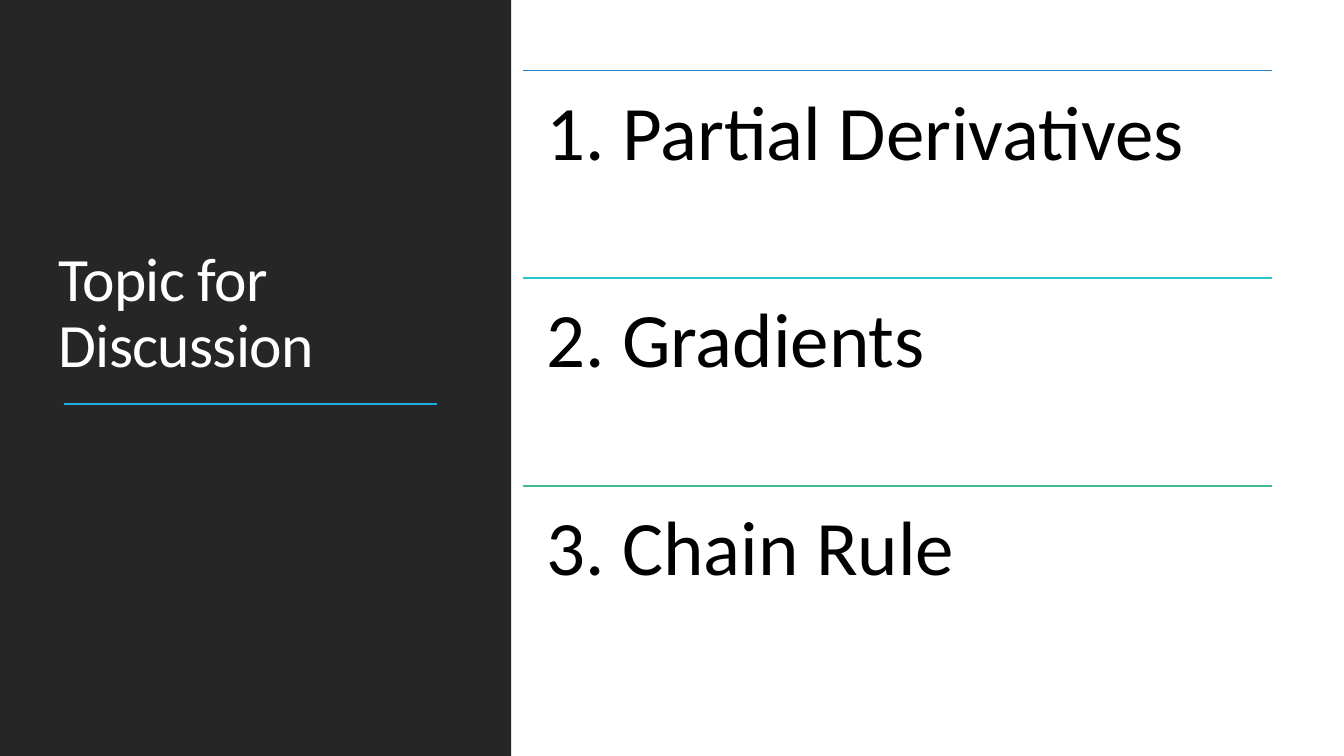
"""Build the topic slide with a dark title panel and three ruled topics."""
from lxml.etree import SubElement
from pptx import Presentation
from pptx.dml.color import RGBColor
from pptx.enum.shapes import MSO_CONNECTOR, MSO_SHAPE
from pptx.enum.text import MSO_ANCHOR, MSO_AUTO_SIZE, PP_ALIGN
from pptx.oxml.ns import qn
from pptx.util import Inches, Pt

WHITE = RGBColor(0xFF, 0xFF, 0xFF)
BLACK = RGBColor(0x00, 0x00, 0x00)
CHARCOAL = RGBColor(0x26, 0x26, 0x26)
SKY = RGBColor(0x1C, 0xAD, 0xE4)
BLUE = RGBColor(0x26, 0x83, 0xC6)
TURQUOISE = RGBColor(0x28, 0xC4, 0xCC)
GREEN = RGBColor(0x42, 0xBA, 0x97)

TOPICS = [
    ("1. Partial Derivatives", BLUE),
    ("2. Gradients", TURQUOISE),
    ("3. Chain Rule", GREEN),
]
TOPIC_LEFT, TOPIC_TOP = 5.19, 0.7
TOPIC_WIDTH, TOPIC_HEIGHT = 7.43, 2.06


def write_text(shape, text, size, color, anchor=MSO_ANCHOR.TOP,
               inset=(0.1, 0.05), tracking=None):
    """Fill a shape with one formatted, left-aligned paragraph."""
    frame = shape.text_frame
    frame.word_wrap = True
    frame.auto_size = MSO_AUTO_SIZE.NONE
    frame.vertical_anchor = anchor
    frame.margin_left = frame.margin_right = Inches(inset[0])
    frame.margin_top = frame.margin_bottom = Inches(inset[1])
    paragraph = frame.paragraphs[0]
    paragraph.alignment = PP_ALIGN.LEFT
    paragraph.line_spacing = 0.9
    run = paragraph.add_run()
    run.text = text
    run.font.name = "Calibri"
    run.font.size = Pt(size)
    run.font.color.rgb = color
    if tracking is not None:
        for properties in shape.element.iter(qn("a:rPr")):
            properties.set("spc", str(round(tracking * 100)))


def add_rule(slide, left, top, width, color, weight):
    """Draw a horizontal rule without a shadow."""
    rule = slide.shapes.add_connector(
        MSO_CONNECTOR.STRAIGHT, Inches(left), Inches(top),
        Inches(left + width), Inches(top))
    rule.line.color.rgb = color
    rule.line.width = Pt(weight)
    SubElement(rule.element.spPr, qn("a:effectLst"))


def add_panel(slide):
    """Draw the dark panel on the left and return it."""
    panel = slide.shapes.add_shape(
        MSO_SHAPE.RECTANGLE, 0, 0, Inches(5.07), Inches(7.5))
    panel.shadow.inherit = False
    panel.fill.solid()
    panel.fill.fore_color.rgb = CHARCOAL
    panel.line.fill.background()
    return panel


def add_title(slide, panel):
    """Place the title in front of the panel, with its rule below."""
    title = slide.shapes.title
    title.left, title.top = Inches(0.48), Inches(0.7)
    title.width, title.height = Inches(4), Inches(3.13)
    write_text(title, "Topic for Discussion", 44, WHITE,
               anchor=MSO_ANCHOR.BOTTOM, tracking=-0.5)
    panel.element.addnext(title.element)
    add_rule(slide, 0.63, 4.01, 3.7, SKY, 1.5)


def add_topic(slide, top, text, color):
    """Add one topic beneath its coloured rule."""
    add_rule(slide, TOPIC_LEFT, top, TOPIC_WIDTH, color, 1.25)
    topic = slide.shapes.add_textbox(
        Inches(TOPIC_LEFT), Inches(top),
        Inches(TOPIC_WIDTH), Inches(TOPIC_HEIGHT))
    write_text(topic, text, 55, BLACK, inset=(0.23, 0.23))


def main():
    """Build and save the slide."""
    deck = Presentation()
    deck.slide_width, deck.slide_height = Inches(13.33), Inches(7.5)
    slide = deck.slides.add_slide(deck.slide_layouts.get_by_name("Title Only"))
    slide.background.fill.solid()
    slide.background.fill.fore_color.rgb = WHITE
    add_title(slide, add_panel(slide))
    for row, (text, color) in enumerate(TOPICS):
        add_topic(slide, TOPIC_TOP + row * TOPIC_HEIGHT, text, color)
    deck.save("out.pptx")


if __name__ == "__main__":
    main()
